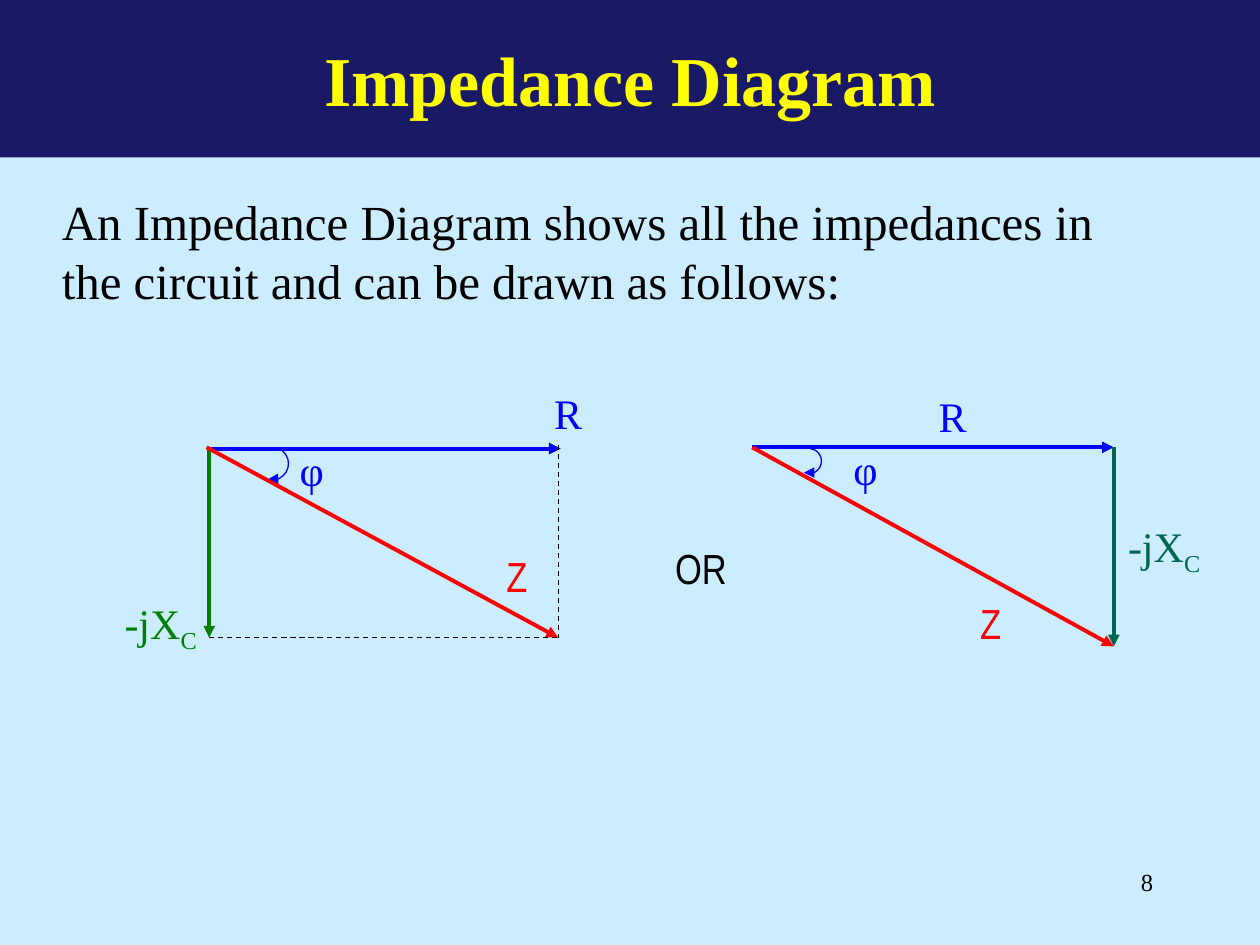
from dataclasses import dataclass
from typing import Optional

from pptx import Presentation
from pptx.dml.color import RGBColor
from pptx.enum.dml import MSO_LINE
from pptx.enum.shapes import MSO_CONNECTOR, MSO_SHAPE
from pptx.enum.text import MSO_ANCHOR, MSO_AUTO_SIZE, PP_ALIGN as Align
from pptx.oxml.ns import qn
from pptx.util import Inches, Pt
from lxml.etree import SubElement


@dataclass(frozen=True)
class Theme:
    background: str = "CCECFF"
    band: str = "191966"
    title: str = "FFFF00"
    text: str = "000000"
    resistance: str = "0000FF"
    reactance: str = "008000"
    reactance_alt: str = "00664D"
    impedance: str = "FF0000"
    serif: str = "Times New Roman"
    narrow: str = "Arial Narrow"
    title_size: int = 40
    body_size: int = 28
    label_size: int = 24
    number_size: int = 14
    vector_width: float = 2.25
    thin_width: float = 0.75


THEME = Theme()


@dataclass(frozen=True)
class Vector:
    start: tuple[float, float]
    end: tuple[float, float]
    color: str


@dataclass(frozen=True)
class Label:
    text: str
    box: tuple[float, float, float, float]
    color: str
    font: str = THEME.serif
    size: int = THEME.label_size
    align: Optional[Align] = None
    subscript: str = ""


@dataclass(frozen=True)
class AngleArc:
    center: tuple[float, float]
    radius: float
    start_degrees: float
    end_degrees: float


VECTORS = [
    Vector((1.65, 3.56), (4.45, 3.56), THEME.resistance),
    Vector((1.66, 3.56), (1.66, 5.06), THEME.reactance),
    Vector((1.64, 3.55), (4.43, 5.06), THEME.impedance),
    Vector((5.97, 3.55), (8.84, 3.55), THEME.resistance),
    Vector((8.84, 3.55), (8.84, 5.13), THEME.reactance_alt),
    Vector((5.97, 3.55), (8.84, 5.13), THEME.impedance),
]
GUIDES = [
    Vector((4.43, 3.53), (4.43, 5.06), THEME.text),
    Vector((1.66, 5.06), (4.45, 5.06), THEME.text),
]
ARCS = [
    AngleArc((2.16, 3.68), 0.13, 305, 105),
    AngleArc((6.42, 3.66), 0.1, 276, 113),
]
LABELS = [
    Label("R", (4.3, 3.03, 0.51, 0.43), THEME.resistance),
    Label("-jX", (0.89, 4.69, 1, 0.68), THEME.reactance, subscript="C"),
    Label("φ", (2.28, 3.48, 0.5, 0.47), THEME.resistance),
    Label("Z", (3.92, 4.32, 0.67, 0.5), THEME.impedance, THEME.narrow),
    Label("OR", (5.26, 4.26, 0.71, 0.5), THEME.text, THEME.narrow),
    Label("R", (7.34, 3.05, 0.44, 0.5), THEME.resistance, align=Align.CENTER),
    Label("-jX", (8.81, 4.08, 0.86, 0.5), THEME.reactance_alt,
          align=Align.CENTER, subscript="C"),
    Label("φ", (6.65, 3.47, 0.44, 0.5), THEME.resistance, align=Align.CENTER),
    Label("Z", (7.68, 4.69, 0.93, 0.5), THEME.impedance, THEME.narrow),
    Label("8", (7.17, 6.83, 2.08, 0.5), THEME.text,
          size=THEME.number_size, align=Align.RIGHT),
]


def rgb(color: str) -> RGBColor:
    return RGBColor.from_string(color)


def place(shape, left: float, top: float, width: float, height: float) -> None:
    shape.left, shape.top = Inches(left), Inches(top)
    shape.width, shape.height = Inches(width), Inches(height)


def format_runs(paragraph, font: str, size: int, color: str, bold: bool = False) -> None:
    for run in paragraph.runs:
        run.font.name = font
        run.font.size = Pt(size)
        run.font.bold = bold
        run.font.color.rgb = rgb(color)


def style_line(line, color: str, width: float, arrow: bool) -> None:
    line.color.rgb = rgb(color)
    line.width = Pt(width)
    if arrow:
        SubElement(line._get_or_add_ln(), qn("a:tailEnd"), type="triangle")


def add_vector(slide, vector: Vector, guide: bool = False) -> None:
    """Draw a solid arrow, or a thin dashed line for a guide."""
    ends = [Inches(value) for value in vector.start + vector.end]
    connector = slide.shapes.add_connector(MSO_CONNECTOR.STRAIGHT, *ends)
    if guide:
        connector.line.dash_style = MSO_LINE.DASH
    width = THEME.thin_width if guide else THEME.vector_width
    style_line(connector.line, vector.color, width, arrow=not guide)
    SubElement(connector._element.spPr, qn("a:effectLst"))


def add_arc(slide, arc: AngleArc) -> None:
    x, y = arc.center
    diameter = Inches(2 * arc.radius)
    shape = slide.shapes.add_shape(
        MSO_SHAPE.ARC, Inches(x - arc.radius), Inches(y - arc.radius), diameter, diameter)
    # Angles are stored in 1/60000 degree, adjustments in 1/100000.
    shape.adjustments[0] = arc.start_degrees * 0.6
    shape.adjustments[1] = arc.end_degrees * 0.6
    shape.fill.background()
    style_line(shape.line, THEME.resistance, THEME.thin_width, arrow=True)
    shape.shadow.inherit = False


def add_label(slide, label: Label) -> None:
    frame = slide.shapes.add_textbox(*(Inches(value) for value in label.box)).text_frame
    frame.word_wrap = True
    paragraph = frame.paragraphs[0]
    paragraph.text = label.text
    paragraph.alignment = label.align
    if label.subscript:
        paragraph.add_run().text = label.subscript
    format_runs(paragraph, label.font, label.size, label.color)
    if label.subscript:
        paragraph.runs[-1].font._element.set("baseline", "-25000")


def fill_title(title) -> None:
    place(title, 0, 0, 10, 1.25)
    title.fill.solid()
    title.fill.fore_color.rgb = rgb(THEME.band)
    frame = title.text_frame
    frame.text = "Impedance Diagram"
    frame.auto_size = MSO_AUTO_SIZE.NONE
    frame.vertical_anchor = MSO_ANCHOR.MIDDLE
    frame.paragraphs[0].alignment = Align.CENTER
    format_runs(frame.paragraphs[0], THEME.serif, THEME.title_size, THEME.title, bold=True)


def fill_body(body) -> None:
    place(body, 0.39, 1.47, 8.91, 1.04)
    frame = body.text_frame
    frame.text = ("An Impedance Diagram shows all the impedances in "
                  "the circuit and can be drawn as follows:")
    frame.auto_size = MSO_AUTO_SIZE.NONE
    paragraph = frame.paragraphs[0]
    properties = paragraph._p.get_or_add_pPr()
    properties.set("marL", "0")
    properties.set("indent", "0")
    SubElement(properties, qn("a:buNone"))
    paragraph.space_before = Pt(0)
    format_runs(paragraph, THEME.serif, THEME.body_size, THEME.text)


def main() -> None:
    deck = Presentation()
    deck.slide_width, deck.slide_height = Inches(10), Inches(7.5)
    slide = deck.slides.add_slide(deck.slide_layouts[1])
    slide.background.fill.solid()
    slide.background.fill.fore_color.rgb = rgb(THEME.background)
    fill_title(slide.shapes.title)
    fill_body(slide.placeholders[1])
    for arc in ARCS:
        add_arc(slide, arc)
    for vector in VECTORS:
        add_vector(slide, vector)
    for guide in GUIDES:
        add_vector(slide, guide, guide=True)
    for label in LABELS:
        add_label(slide, label)
    deck.save("out.pptx")


if __name__ == "__main__":
    main()
